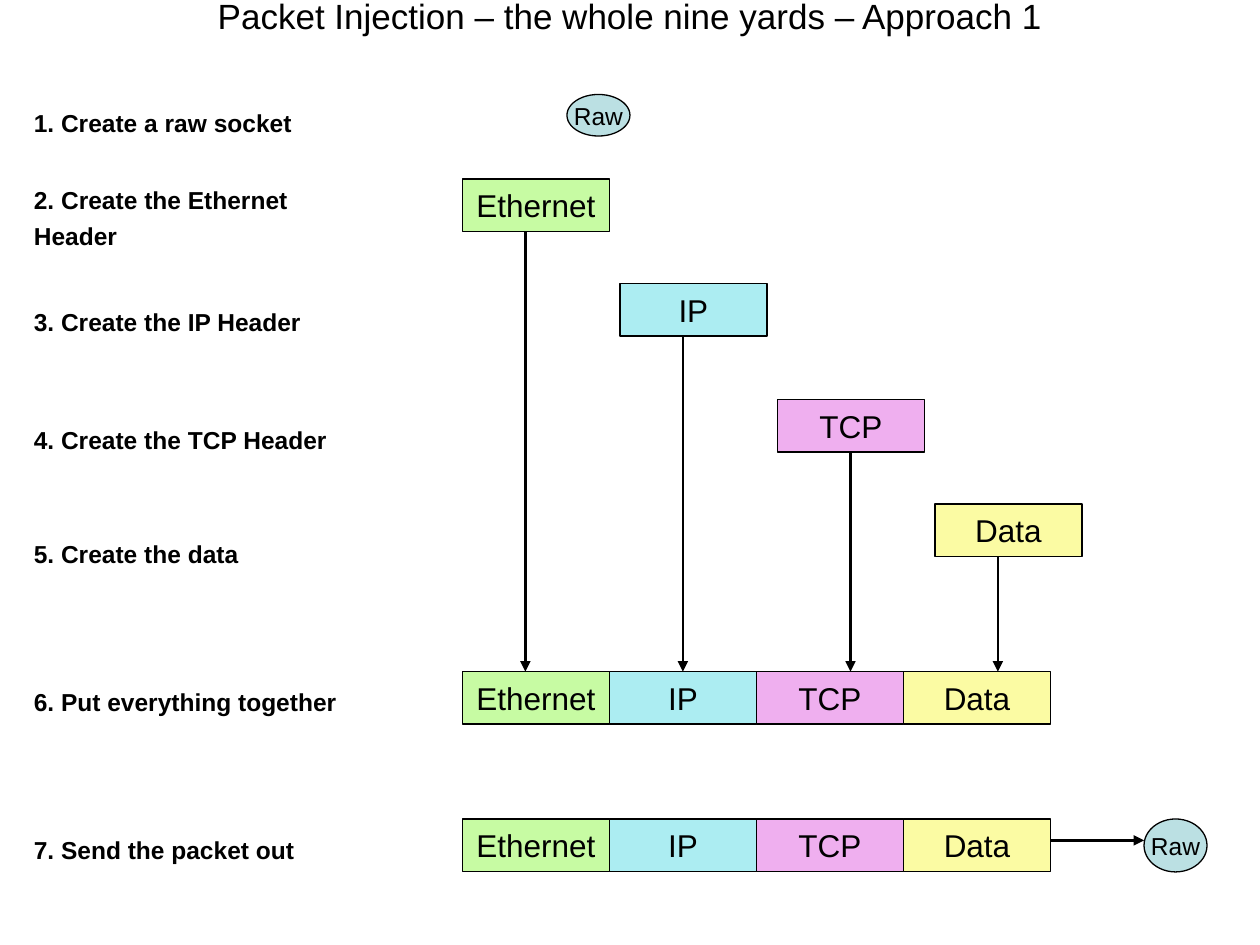
from lxml import etree
from pptx import Presentation
from pptx.dml.color import RGBColor
from pptx.enum.shapes import MSO_CONNECTOR, MSO_SHAPE
from pptx.enum.text import MSO_ANCHOR, MSO_AUTO_SIZE, PP_ALIGN
from pptx.oxml.ns import qn
from pptx.util import Inches, Pt

TITLE = "Packet Injection – the whole nine yards – Approach 1"
COLORS = {
    "ink": "000000", "Raw": "BBE0E3", "Ethernet": "C7FBA3",
    "IP": "ACEDF2", "TCP": "EFAFEF", "Data": "FBFBA3",
}
# text, top, width, height, space before, has an 18 pt closing space
STEPS = [
    ("1. Create a raw socket", 0.75, 2.83, 0.4, 11.2, True),
    ("2. Create the Ethernet Header ", 1.42, 2.92, 0.64, 11.2, True),
    ("3. Create the IP Header", 2.33, 2.83, 0.4, 11.2, True),
    ("4. Create the TCP Header", 3.27, 2.83, 0.4, 11.2, True),
    ("5. Create the data", 4.17, 2.83, 0.4, 11.2, True),
    ("6. Put everything together", 5.35, 2.83, 0.4, 11.2, True),
    ("7. Send the packet out", 6.58, 2.83, 0.34, 8.8, False),
]
# name, top of the separate block, x of its arrow
PARTS = [
    ("Ethernet", 1.42, 4.17),
    ("IP", 2.25, 5.42),
    ("TCP", 3.17, 6.75),
    ("Data", 4.0, 7.92),
]
SOCKETS = [(4.5, 0.75, 0.33), (9.08, 6.5, 0.42)]  # left, top, height

STEP_LEFT = 0.17
BLOCK_LEFT, BLOCK_W, BLOCK_H = 3.67, 1.167, 0.417
STAIR_STEP = 1.25
JOINED_TOP, SENT_TOP = 5.33, 6.5
SEND_Y = 6.67


def rgb(name):
    return RGBColor.from_string(COLORS[name])


def add_run(p, text, size, bold=False):
    r = p.add_run()
    r.text = text
    r.font.name = "Arial"
    r.font.size = Pt(size)
    r.font.bold = bold
    r.font.color.rgb = rgb("ink")


def add_title(slide):
    sp = slide.shapes.title
    sp.left, sp.top, sp.width, sp.height = map(Inches, (0.5, -0.17, 9, 0.58))
    tf = sp.text_frame
    tf.auto_size = MSO_AUTO_SIZE.NONE
    tf.vertical_anchor = MSO_ANCHOR.MIDDLE
    p = tf.paragraphs[0]
    p.alignment = PP_ALIGN.CENTER
    add_run(p, TITLE, 20)


def add_step(slide, text, top, width, height, space, closing_space):
    box = slide.shapes.add_textbox(*map(Inches, (STEP_LEFT, top, width, height)))
    tf = box.text_frame
    tf.word_wrap = True
    tf.auto_size = MSO_AUTO_SIZE.SHAPE_TO_FIT_TEXT
    p = tf.paragraphs[0]
    p.space_before = Pt(space)
    add_run(p, text, 14, True)
    if closing_space:
        add_run(p, " ", 18)


def add_node(slide, kind, name, left, top, width, height, size):
    sp = slide.shapes.add_shape(kind, *map(Inches, (left, top, width, height)))
    sp.shadow.inherit = False
    sp.fill.solid()
    sp.fill.fore_color.rgb = rgb(name)
    sp.line.color.rgb = rgb("ink")
    sp.line.width = Pt(0.75)
    tf = sp.text_frame
    tf.word_wrap = False
    tf.vertical_anchor = MSO_ANCHOR.MIDDLE
    p = tf.paragraphs[0]
    p.alignment = PP_ALIGN.CENTER
    add_run(p, name, size)


def add_block(slide, name, left, top):
    add_node(slide, MSO_SHAPE.RECTANGLE, name, left, top, BLOCK_W, BLOCK_H, 18)


def add_arrow(slide, x1, y1, x2, y2):
    line = slide.shapes.add_connector(
        MSO_CONNECTOR.STRAIGHT, *map(Inches, (x1, y1, x2, y2)))
    line.line.color.rgb = rgb("ink")
    line.line.width = Pt(1.5)
    etree.SubElement(line.line._get_or_add_ln(), qn("a:tailEnd"), type="triangle")
    etree.SubElement(line._element.spPr, qn("a:effectLst"))


def main():
    prs = Presentation()
    prs.slide_width, prs.slide_height = Inches(10), Inches(7.5)
    slide = prs.slides.add_slide(prs.slide_layouts[5])

    add_title(slide)
    for step in STEPS:
        add_step(slide, *step)
    for left, top, height in SOCKETS:
        add_node(slide, MSO_SHAPE.OVAL, "Raw", left, top, 0.5, height, 14)

    for i, (name, top, _) in enumerate(PARTS):
        add_block(slide, name, BLOCK_LEFT + i * STAIR_STEP, top)
        for row_top in (JOINED_TOP, SENT_TOP):
            add_block(slide, name, BLOCK_LEFT + i * BLOCK_W, row_top)

    for _, top, x in PARTS:
        add_arrow(slide, x, top + BLOCK_H, x, JOINED_TOP)
    packet_right = BLOCK_LEFT + len(PARTS) * BLOCK_W
    add_arrow(slide, packet_right, SEND_Y, SOCKETS[1][0], SEND_Y)

    prs.save("out.pptx")


if __name__ == "__main__":
    main()
